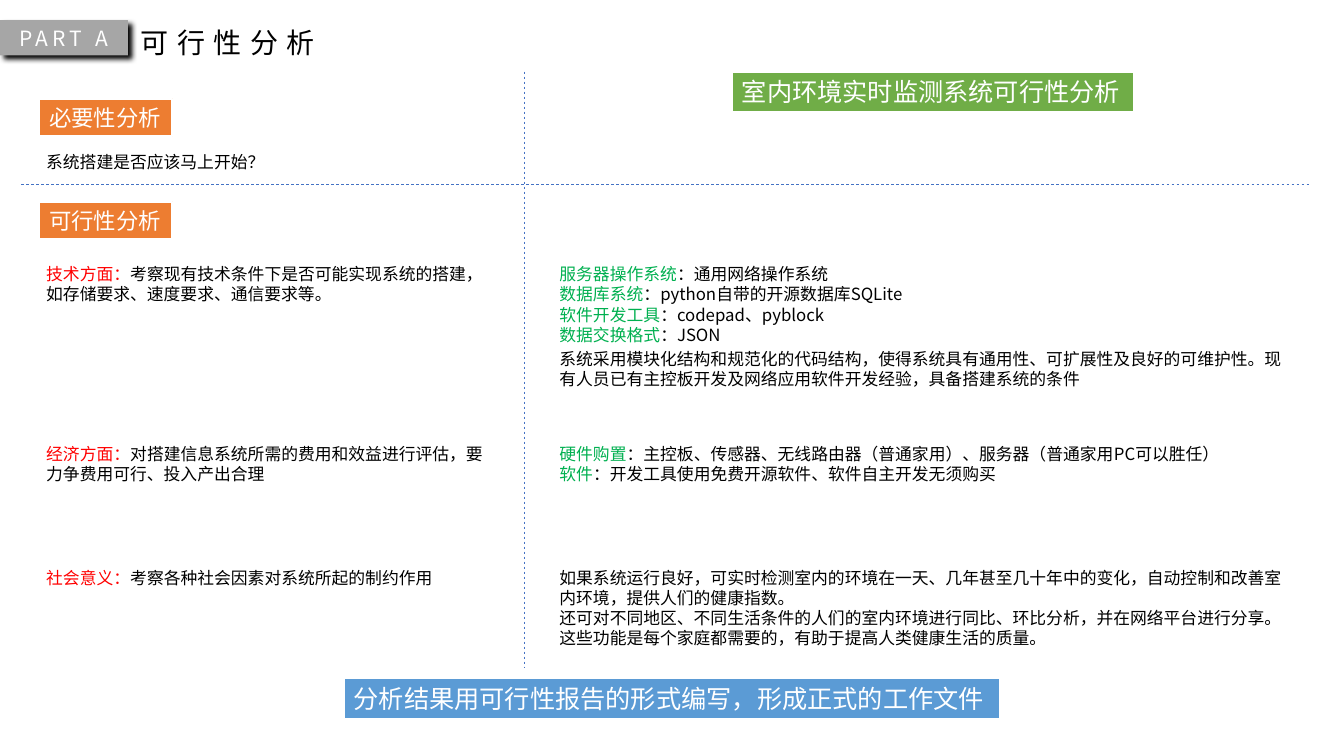
from lxml import etree
from pptx import Presentation
from pptx.dml.color import RGBColor
from pptx.enum.dml import MSO_LINE_DASH_STYLE as Dash
from pptx.enum.shapes import MSO_CONNECTOR as Connector, MSO_SHAPE as Preset
from pptx.enum.text import MSO_ANCHOR as Anchor, MSO_AUTO_SIZE as AutoSize, PP_ALIGN as Align
from pptx.oxml.ns import qn
from pptx.util import Inches, Pt

BLACK = RGBColor(0x00, 0x00, 0x00)
WHITE = RGBColor(0xFF, 0xFF, 0xFF)
GRAY = RGBColor(0xA6, 0xA6, 0xA6)
RED = RGBColor(0xFF, 0x00, 0x00)
GREEN = RGBColor(0x00, 0xB0, 0x50)
LEAF = RGBColor(0x70, 0xAD, 0x47)
ORANGE = RGBColor(0xED, 0x7D, 0x31)
SKY = RGBColor(0x5B, 0x9B, 0xD5)
BLUE = RGBColor(0x44, 0x72, 0xC4)


class FeasibilitySlide:
    """Draws the elements of the feasibility slide in one shared style."""

    font = "Noto Sans CJK SC"

    def __init__(self, slide):
        self.shapes = slide.shapes

    def fill_text(self, frame, paragraphs, size, spacing=0, wrap=True, align=Align.LEFT):
        frame.word_wrap = wrap
        frame.auto_size = AutoSize.SHAPE_TO_FIT_TEXT
        for index, runs in enumerate(paragraphs):
            paragraph = frame.add_paragraph() if index else frame.paragraphs[0]
            paragraph.alignment = align
            for words, color in runs:
                run = paragraph.add_run()
                run.text = words
                run.font.size = Pt(size)
                run.font.name = self.font
                run.font.color.rgb = color
                properties = run._r.get_or_add_rPr()
                etree.SubElement(properties, qn("a:ea")).set("typeface", self.font)
                if spacing:
                    properties.set("spc", str(spacing * 100))

    def text(self, box, paragraphs, size=12, **style):
        area = self.shapes.add_textbox(*map(Inches, box))
        self.fill_text(area.text_frame, paragraphs, size, **style)

    def badge(self, box, words, size, fill, border=True, **style):
        label = self.shapes.add_shape(Preset.RECTANGLE, *map(Inches, box))
        label.shadow.inherit = False
        label.fill.solid()
        label.fill.fore_color.rgb = fill
        if border:
            label.line.color.rgb = WHITE
            label.line.width = Pt(1.5)
        else:
            label.line.fill.background()
        label.text_frame.vertical_anchor = Anchor.MIDDLE
        self.fill_text(label.text_frame, [[(words, WHITE)]], size, **style)
        return label

    def cast_shadow(self, label):
        effects = label._element.spPr.find(qn("a:effectLst"))
        shadow = etree.SubElement(effects, qn("a:outerShdw"), blurRad=str(Pt(4)),
                                  dist=str(Pt(4)), dir="2400000", algn="tl", rotWithShape="0")
        color = etree.SubElement(shadow, qn("a:srgbClr"), val=str(BLACK))
        etree.SubElement(color, qn("a:alpha"), val="99000")

    def divider(self, *ends):
        rule = self.shapes.add_connector(Connector.STRAIGHT, *map(Inches, ends))
        rule.line.color.rgb = BLUE
        rule.line.width = Pt(0.5)
        rule.line.dash_style = Dash.DASH
        etree.SubElement(rule._element.spPr, qn("a:effectLst"))


def main():
    deck = Presentation()
    deck.slide_width, deck.slide_height = Inches(13.33), Inches(7.5)
    page = FeasibilitySlide(deck.slides.add_slide(deck.slide_layouts[6]))

    part = page.badge((0, 0.2, 1.27, 0.35), "PART A", 15, GRAY, border=False,
                      spacing=3, align=Align.CENTER)
    page.cast_shadow(part)
    page.text((1.3, 0.2, 2.03, 0.44), [[("可行性分析", BLACK)]], 20, spacing=6, wrap=False)

    for box, words, size, fill in (
        ((7.26, 0.71, 3.99, 0.4), "室内环境实时监测系统可行性分析", 18, LEAF),
        ((0.39, 0.98, 1.32, 0.37), "必要性分析", 16, ORANGE),
        ((0.39, 2, 1.32, 0.37), "可行性分析", 16, ORANGE),
        ((3.41, 6.73, 6.51, 0.4), "分析结果用可行性报告的形式编写，形成正式的工作文件", 18, SKY),
    ):
        page.badge(box, words, size, fill, wrap=False)

    page.text((0.36, 1.46, 4.13, 0.3), [[("系统搭建是否应该马上开始？", BLACK)]])
    for top, height, aspect, question in (
        (2.57, 0.5, "技术方面：", "考察现有技术条件下是否可能实现系统的搭建，如存储要求、速度要求、通信要求等。"),
        (4.35, 0.5, "经济方面：", "对搭建信息系统所需的费用和效益进行评估，要力争费用可行、投入产出合理"),
        (5.58, 0.3, "社会意义：", "考察各种社会因素对系统所起的制约作用"),
    ):
        page.text((0.36, top, 4.55, height), [[(aspect, RED), (question, BLACK)]])

    page.divider(5.2, 0.71, 5.2, 6.62)
    page.divider(0.21, 1.83, 13, 1.83)

    technology = (
        ("服务器操作系统", "：通用网络操作系统"),
        ("数据库系统", "：python自带的开源数据库SQLite"),
        ("软件开发工具", "：codepad、pyblock"),
        ("数据交换格式", "：JSON"),
    )
    costs = (
        ("硬件购置", "：主控板、传感器、无线路由器（普通家用）、服务器（普通家用PC可以胜任）"),
        ("软件", "：开发工具使用免费开源软件、软件自主开发无须购买"),
    )
    for top, width, height, items in ((2.57, 4.55, 0.91, technology), (4.35, 7.45, 0.5, costs)):
        page.text((5.45, top, width, height),
                  [[(item, GREEN), (detail, BLACK)] for item, detail in items])

    structure = (
        "系统采用模块化结构和规范化的代码结构，使得系统具有通用性、可扩展性及良好的可维护性。"
        "现有人员已有主控板开发及网络应用软件开发经验，具备搭建系统的条件",
    )
    benefits = (
        "如果系统运行良好，可实时检测室内的环境在一天、几年甚至几十年中的变化，"
        "自动控制和改善室内环境，提供人们的健康指数。",
        "还可对不同地区、不同生活条件的人们的室内环境进行同比、环比分析，并在网络平台进行分享。"
        "这些功能是每个家庭都需要的，有助于提高人类健康生活的质量。",
    )
    for top, height, sentences in ((3.41, 0.5, structure), (5.58, 0.91, benefits)):
        page.text((5.45, top, 7.45, height), [[(sentence, BLACK)] for sentence in sentences])

    deck.save("out.pptx")


if __name__ == "__main__":
    main()
